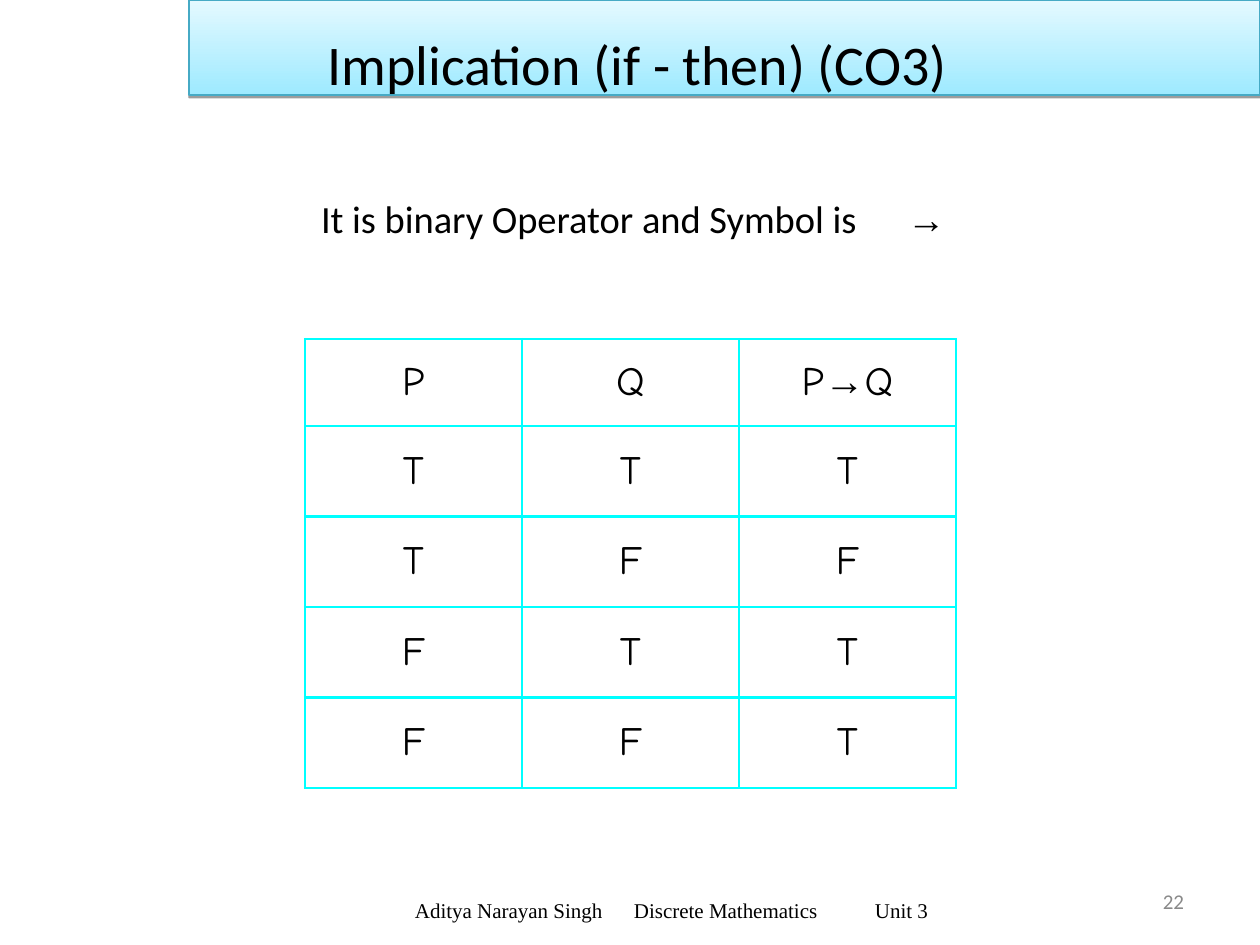
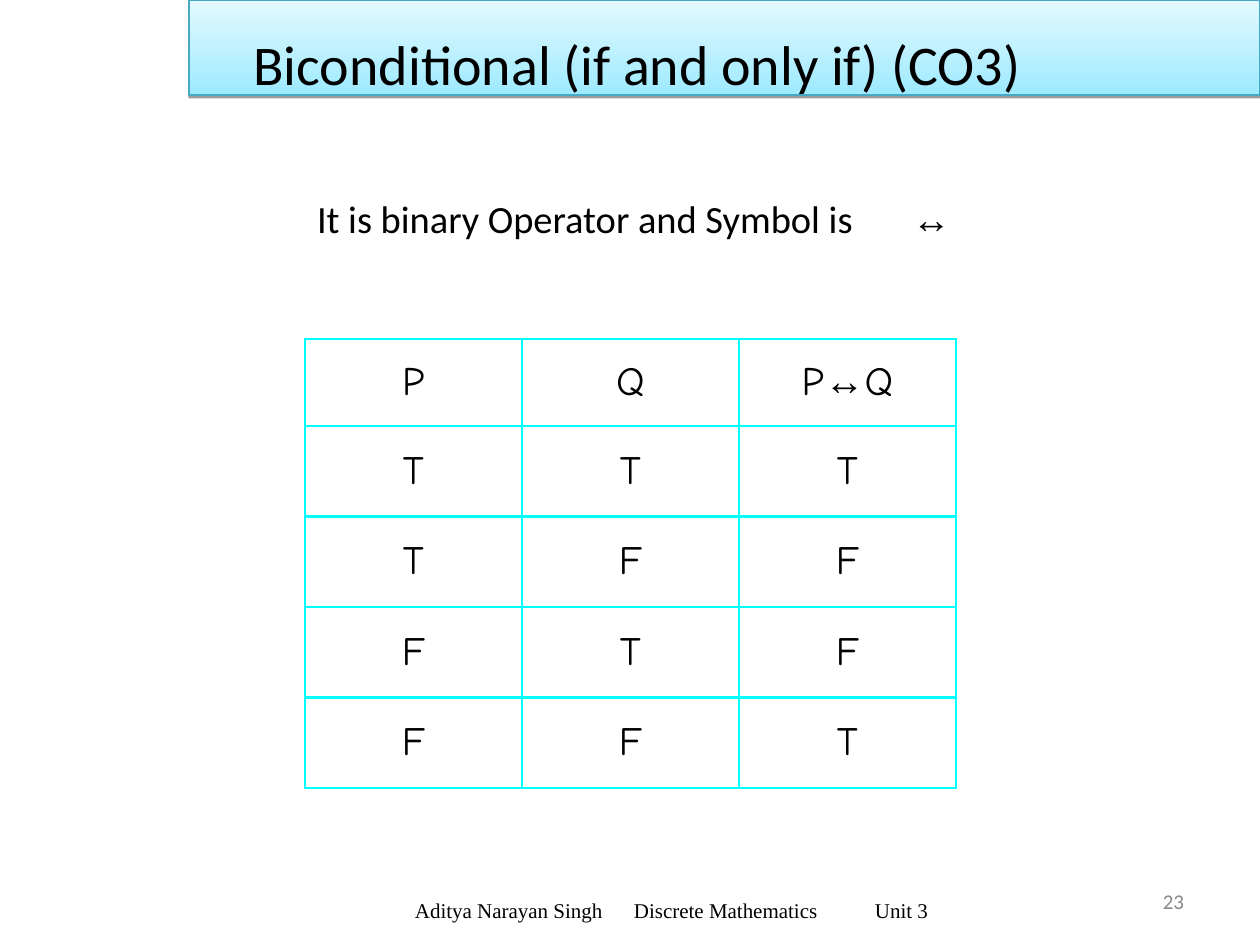
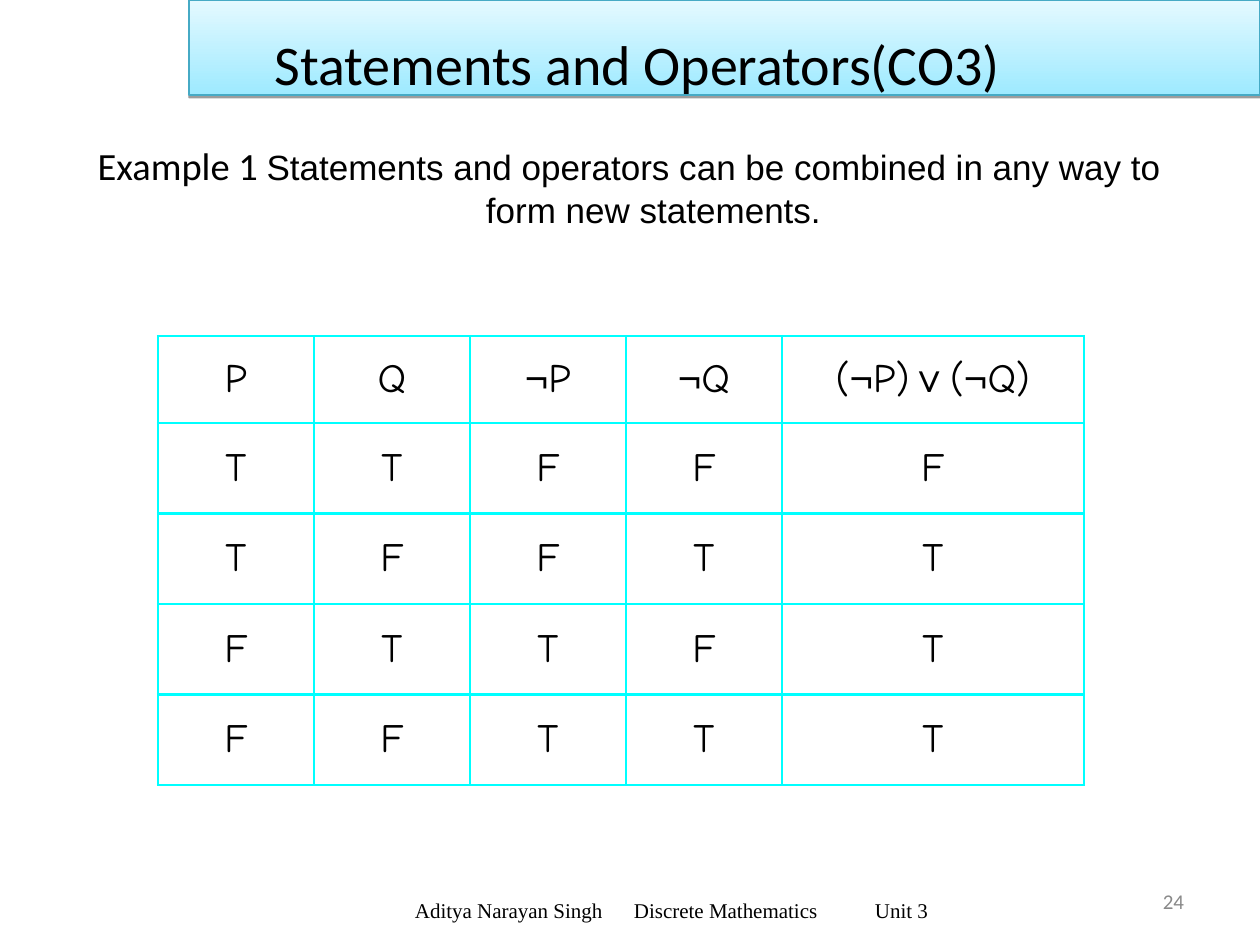
from itertools import groupby

from lxml import etree
from pptx import Presentation
from pptx import util as u
from pptx.dml.color import RGBColor
from pptx.enum import shapes, text
from pptx.oxml.ns import qn

# Content
FIRST_NUMBER = 22
FOOTER = "Aditya Narayan Singh\tDiscrete Mathematics\tUnit 3"
OPERATOR_LEAD = "It is binary Operator and Symbol is\t"

SLIDES = [
    {
        "title": "Implication (if - then) (CO3)",
        "intro": [(OPERATOR_LEAD, "intro"), ("→", "intro_symbol")],
        "intro_box": (73, 189, 1113, 116),
        "intro_stops": (321, 907),
        "table_at": (305, 339),
        "columns": [217] * 3,
        "rows": ["P Q P→Q", "T T T", "T F F", "F T T", "F F T"],
    },
    {
        "title": "Biconditional (if and only if) (CO3)",
        "intro": [(OPERATOR_LEAD, "intro"), ("↔", "intro_symbol")],
        "intro_box": (73, 189, 1113, 116),
        "intro_stops": (317, 912),
        "table_at": (305, 339),
        "columns": [217] * 3,
        "rows": ["P Q P↔Q", "T T T", "T F F", "F T F", "F F T"],
    },
    {
        "title": "Statements and Operators(CO3)",
        "intro": [
            ("Example 1 ", "intro"),
            ("Statements and operators can be combined in any way to "
             "form new statements.", "example"),
        ],
        "intro_box": (73, 136, 1113, 94),
        "table_at": (158, 336),
        "columns": [156] * 4 + [302],
        "rows": ["P Q ¬P ¬Q (¬P)∨(¬Q)", "T T F F F", "T F F T T",
                 "F T T F T", "F F T T T"],
    },
]

# Theme
THEME = {
    "colors": {"ink": "000000", "muted": "898989", "grid": "00FFFF",
               "band_bottom": "9EEAFF", "band_top": "E4F9FF", "band_line": "46AAC5"},
    "styles": {
        "title": {"name": "Calibri", "size": 32, "color": "ink"},
        "intro": {"name": "Calibri", "size": 22, "color": "ink"},
        "intro_symbol": {"name": "Arial", "size": 22, "color": "ink"},
        "example": {"name": "Arial", "size": 20, "color": "ink"},
        "cell": {"name": "Comic Neue", "size": 23, "color": "ink"},
        "symbol": {"name": "Arial", "size": 23, "color": "ink"},
        "arrow": {"name": "Arial", "size": 23, "color": "ink", "bold": True},
        "footer": {"name": "Times New Roman", "size": 12, "color": "ink"},
        "number": {"name": "Calibri", "size": 12, "color": "muted"},
    },
    "grid_width": 1.47,
}
SYMBOL_STYLES = {"→": "arrow", "↔": "arrow", "¬": "symbol", "∨": "symbol"}

# Places, in px
PX_PER_INCH = 126
SLIDE_SIZE = (1260, 945)
BAND_BOX = (189, 0, 1071, 95)
TITLE_BOX = (95, 0, 1071, 116)
FOOTER_BOX = (325, 885, 693, 50)
FOOTER_STOPS = (415, 634, 875)
NUMBER_BOX = (903, 876, 294, 50)
HANGING = 48
HEADER_HEIGHT, BODY_HEIGHT = 87, 362
INSETS = {"margin_left": 13, "margin_top": 6, "margin_right": 13, "margin_bottom": 6}
TITLE_INSETS = INSETS | {"margin_left": 27, "margin_top": 16}


def px(length):
    return u.Emu(round(length * u.Inches(1) / PX_PER_INCH))


def color(key):
    return RGBColor.from_string(THEME["colors"][key])


def set_all(target, values):
    for key, value in values.items():
        setattr(target, key, value)


def place(shape, box):
    set_all(shape, dict(zip(("left", "top", "width", "height"), map(px, box))))


def inset(target, insets):
    set_all(target, {side: px(length) for side, length in insets.items()})


def write(paragraph, pieces, align):
    paragraph.alignment = align
    for words, style in pieces:
        run = paragraph.add_run()
        run.text = words
        values = dict(THEME["styles"][style])
        run.font.color.rgb = color(values.pop("color"))
        values["size"] = u.Pt(values["size"])
        set_all(run.font, values)


def add_text(slide, box, pieces, align=text.PP_ALIGN.CENTER,
             anchor=text.MSO_ANCHOR.MIDDLE, stops=()):
    """Add a text box; stops are the px where its tab-parted pieces start."""
    frame = slide.shapes.add_textbox(*map(px, box)).text_frame
    set_all(frame, {"word_wrap": True, "vertical_anchor": anchor})
    inset(frame, INSETS)
    paragraph = frame.paragraphs[0]
    if stops:
        align = text.PP_ALIGN.LEFT
        frame.margin_left = px(stops[0] - box[0])
        tabs = etree.SubElement(paragraph._p.get_or_add_pPr(), qn("a:tabLst"))
        for stop in stops[1:]:
            etree.SubElement(tabs, qn("a:tab"), pos=str(px(stop - stops[0])), algn="l")
    write(paragraph, pieces, align)
    return paragraph


# Shared parts
def add_band(slide):
    band = slide.shapes.add_shape(shapes.MSO_SHAPE.RECTANGLE, *map(px, BAND_BOX))
    band.fill.gradient()
    band.fill.gradient_angle = 90
    for stop, key in zip(band.fill.gradient_stops, ("band_bottom", "band_top")):
        stop.color.rgb = color(key)
    band.line.color.rgb = color("band_line")
    band.line.width = u.Pt(0.75)
    band.shadow.inherit = False
    effects = band.element.spPr.find(qn("a:effectLst"))
    shadow = etree.SubElement(effects, qn("a:outerShdw"), blurRad="0",
                              dist=str(u.Pt(1.6)), dir="5400000", rotWithShape="0")
    shade = etree.SubElement(shadow, qn("a:srgbClr"), val=THEME["colors"]["ink"])
    etree.SubElement(shade, qn("a:alpha"), val="38000")
    slide.shapes.title.element.addprevious(band.element)


def add_title(slide, words):
    title = slide.shapes.title
    place(title, TITLE_BOX)
    frame = title.text_frame
    set_all(frame, {"word_wrap": True, "auto_size": text.MSO_AUTO_SIZE.NONE,
                    "vertical_anchor": text.MSO_ANCHOR.MIDDLE})
    inset(frame, TITLE_INSETS)
    write(frame.paragraphs[0], [(words, "title")], text.PP_ALIGN.CENTER)


# Truth table
def add_borders(cell):
    properties = cell._tc.get_or_add_tcPr()
    for index, side in enumerate(("lnL", "lnR", "lnT", "lnB")):
        line = etree.Element(qn(f"a:{side}"), w=str(u.Pt(THEME["grid_width"])))
        fill = etree.SubElement(line, qn("a:solidFill"))
        etree.SubElement(fill, qn("a:srgbClr"), val=THEME["colors"]["grid"])
        properties.insert(index, line)


def formula(words):
    groups = groupby(words, key=lambda letter: SYMBOL_STYLES.get(letter, "cell"))
    return [("".join(letters), style) for style, letters in groups]


def add_truth_table(slide, at, columns, rows):
    size = (sum(columns), HEADER_HEIGHT + BODY_HEIGHT)
    table = slide.shapes.add_table(len(rows), len(columns), *map(px, at + size)).table
    set_all(table, {"first_row": False, "horz_banding": False})
    for column, width in zip(table.columns, columns):
        column.width = px(width)
    body_row = BODY_HEIGHT / (len(rows) - 1)
    for r, values in enumerate(rows):
        table.rows[r].height = px(body_row if r else HEADER_HEIGHT)
        for c, value in enumerate(values.split()):
            cell = table.cell(r, c)
            cell.fill.background()
            cell.vertical_anchor = text.MSO_ANCHOR.MIDDLE
            inset(cell, INSETS)
            add_borders(cell)
            write(cell.text_frame.paragraphs[0], formula(value), text.PP_ALIGN.CENTER)


def build_slide(deck, number, content):
    slide = deck.slides.add_slide(deck.slide_layouts.get_by_name("Title Only"))
    add_band(slide)
    add_title(slide, content["title"])
    stops = content.get("intro_stops", ())
    intro = add_text(slide, content["intro_box"], content["intro"],
                     anchor=text.MSO_ANCHOR.TOP, stops=stops)
    if not stops:
        hanging = px(HANGING)
        intro._p.get_or_add_pPr().set("marL", str(hanging))
        intro._p.get_or_add_pPr().set("indent", str(-hanging))
    add_truth_table(slide, content["table_at"], content["columns"], content["rows"])
    add_text(slide, FOOTER_BOX, [(FOOTER, "footer")], stops=FOOTER_STOPS)
    add_text(slide, NUMBER_BOX, [(str(number), "number")], text.PP_ALIGN.RIGHT)


def main():
    deck = Presentation()
    deck.slide_width, deck.slide_height = map(px, SLIDE_SIZE)
    for number, content in enumerate(SLIDES, FIRST_NUMBER):
        build_slide(deck, number, content)
    deck.save("out.pptx")


if __name__ == "__main__":
    main()
